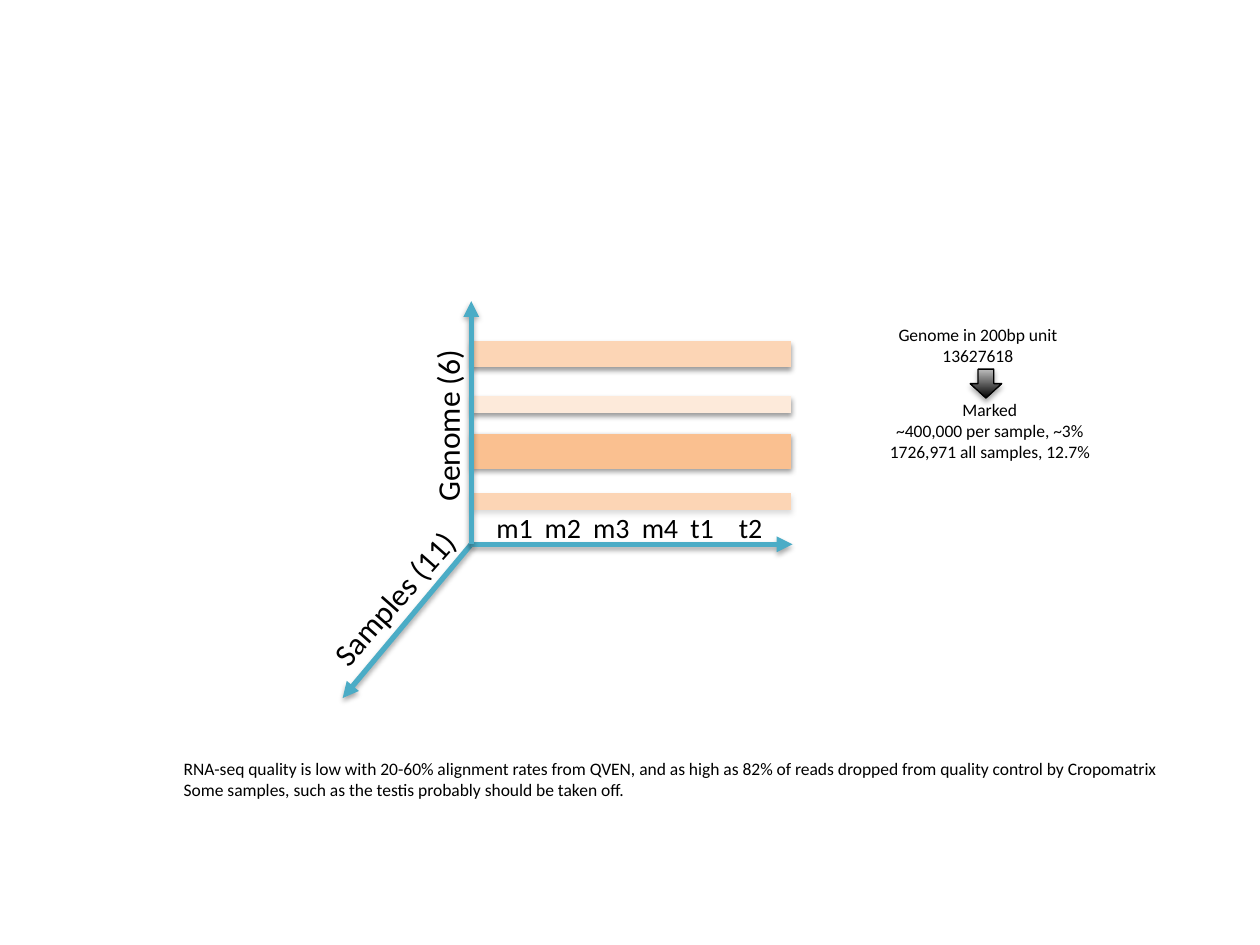
from lxml import etree
from pptx import Presentation
from pptx.dml.color import RGBColor
from pptx.enum.shapes import MSO_CONNECTOR, MSO_SHAPE
from pptx.enum.text import MSO_AUTO_SIZE, PP_ALIGN
from pptx.oxml.ns import qn
from pptx.util import Inches, Pt

STRAIGHT = MSO_CONNECTOR.STRAIGHT
DOWN_ARROW = MSO_SHAPE.DOWN_ARROW
FIT_TEXT = MSO_AUTO_SIZE.SHAPE_TO_FIT_TEXT
LEFT, CENTER = PP_ALIGN.LEFT, PP_ALIGN.CENTER

BLACK = RGBColor(0x00, 0x00, 0x00)
SILVER = RGBColor(0xBD, 0xBD, 0xBD)
GRAY = RGBColor(0xA6, 0xA6, 0xA6)
TEAL = RGBColor(0x4B, 0xAC, 0xC6)
PALE_ORANGE = RGBColor(0xFD, 0xEA, 0xDA)
LIGHT_ORANGE = RGBColor(0xFC, 0xD5, 0xB5)
ORANGE = RGBColor(0xFA, 0xC0, 0x90)

ORIGIN_X, ORIGIN_Y = 3.74, 4.32
AXIS_RIGHT = 6.28
MARK_LEFT, MARK_TOP, MARK_STEP = 3.84, 4, 0.385


class Diagram:
    font = "Calibri"

    def __init__(self, slide):
        self.shapes = slide.shapes

    def shadow(self, shape, color=BLACK, alpha=35, distance=1.8):
        """Cast a soft shadow straight down; call after the line is set."""
        effects = etree.SubElement(shape._element.spPr, qn("a:effectLst"))
        outer = etree.SubElement(
            effects, qn("a:outerShdw"), blurRad=str(Pt(3.1)),
            dist=str(Pt(distance)), dir="5400000", rotWithShape="0")
        tint = etree.SubElement(outer, qn("a:srgbClr"), val=str(color))
        etree.SubElement(tint, qn("a:alpha"), val=str(alpha * 1000))

    def line(self, start, end, color, width):
        line = self.shapes.add_connector(
            STRAIGHT, *(Inches(value) for value in (*start, *end)))
        line.line.color.rgb = color
        line.line.width = Pt(width)
        return line

    def axis(self, end):
        axis = self.line((ORIGIN_X, ORIGIN_Y), end, TEAL, 3)
        etree.SubElement(axis.get_or_add_ln(), qn("a:tailEnd"), type="triangle")
        self.shadow(axis)

    def band(self, y, color, thickness, shadow_color=BLACK):
        band = self.line((ORIGIN_X, y), (AXIS_RIGHT, y), color, thickness)
        self.shadow(band, shadow_color, alpha=38, distance=1.6)

    def text(self, box, lines, size, align=LEFT, rotation=0):
        label = self.shapes.add_textbox(*(Inches(value) for value in box))
        label.rotation = rotation
        frame = label.text_frame
        frame.word_wrap = False
        frame.auto_size = FIT_TEXT
        for index, line in enumerate(lines):
            paragraph = frame.add_paragraph() if index else frame.paragraphs[0]
            paragraph.alignment = align
            run = paragraph.add_run()
            run.text = line
            run.font.name = self.font
            run.font.size = Pt(size)
            run.font.color.rgb = BLACK

    def down_arrow(self, box):
        arrow = self.shapes.add_shape(DOWN_ARROW, *(Inches(value) for value in box))
        arrow.fill.gradient()
        arrow.fill.gradient_angle = 90
        for stop, color in zip(arrow.fill.gradient_stops, (BLACK, SILVER)):
            stop.color.rgb = color
        arrow.line.color.rgb = BLACK
        arrow.line.width = Pt(0.75)
        self.shadow(arrow)


def main():
    deck = Presentation()
    deck.slide_width, deck.slide_height = Inches(10), Inches(7.5)
    diagram = Diagram(deck.slides.add_slide(deck.slide_layouts[6]))

    diagram.axis((2.72, 5.54))
    diagram.axis((6.29, ORIGIN_Y))
    for index, mark in enumerate(("m1", "m2", "m3", "m4", "t1", "t2")):
        width = 0.49 if mark.startswith("m") else 0.39
        left = MARK_LEFT + index * MARK_STEP
        diagram.text((left, MARK_TOP, width, 0.37), [mark], 16)

    diagram.band(3.98, LIGHT_ORANGE, 10, GRAY)
    diagram.band(3.58, ORANGE, 20)
    diagram.band(3.21, PALE_ORANGE, 10)
    diagram.band(2.81, LIGHT_ORANGE, 15)
    diagram.text((2.37, 4.54, 1.52, 0.4), ["Samples (11)"], 18, rotation=311.4)
    diagram.text((2.84, 3.17, 1.42, 0.4), ["Genome (6)"], 18, rotation=270)
    diagram.axis((ORIGIN_X, 2.39))

    diagram.text((7.02, 2.52, 1.48, 0.44),
                 ["Genome in 200bp unit", "13627618"], 10, CENTER)
    diagram.down_arrow((7.7, 2.93, 0.25, 0.23))
    diagram.text((6.95, 3.12, 1.81, 0.61),
                 ["Marked", "~400,000 per sample, ~3%",
                  "1726,971 all samples, 12.7% "], 10, CENTER)
    diagram.text((1.36, 5.97, 8.09, 0.44),
                 ["RNA-seq quality is low with 20-60% alignment rates from QVEN, "
                  "and as high as 82% of reads dropped from quality control by Cropomatrix",
                  "Some samples, such as the testis probably should be taken off."], 10)
    deck.save("out.pptx")


if __name__ == "__main__":
    main()
